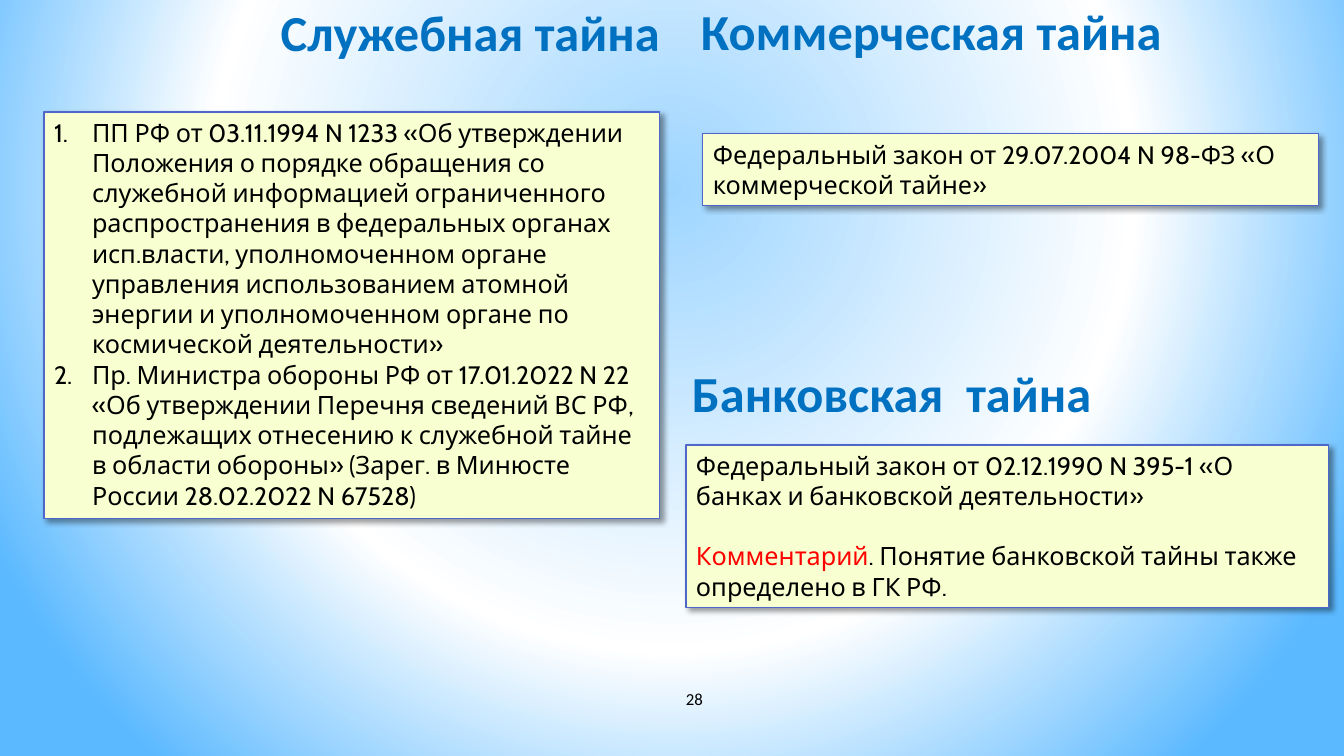
import pptx
import pptx.dml.color
import pptx.enum.shapes
import pptx.enum.text
import pptx.oxml
import pptx.oxml.ns
import pptx.util

PX = 914400 / 100.8
COLORS = {"heading": "0070C0", "card": "F8FFD1", "border": "4E67C8",
          "text": "000000", "accent": "FF0000"}
NAMESPACE = pptx.oxml.ns.nsdecls("a")
ALIGN = pptx.enum.text.PP_ALIGN
ANCHOR = pptx.enum.text.MSO_ANCHOR


def place(shape, bounds, margins, anchor=ANCHOR.TOP):
    shape.left, shape.top, shape.width, shape.height = [round(n * PX) for n in bounds]
    frame = shape.text_frame
    frame.word_wrap = True
    frame.auto_size = pptx.enum.text.MSO_AUTO_SIZE.NONE
    frame.vertical_anchor = anchor
    frame.margin_left, frame.margin_top, frame.margin_right, frame.margin_bottom = [
        round(n * PX) for n in margins]


def style(span, size, face, color, bold=False):
    span.font.size = pptx.util.Pt(size)
    span.font.name = face
    span.font.bold = bold
    span.font.color.rgb = pptx.dml.color.RGBColor.from_string(COLORS[color])


deck = pptx.Presentation()
deck.slide_width = round(1344 * PX)
deck.slide_height = round(756 * PX)
page = deck.slides.add_slide(deck.slide_layouts[1])
title, laws = page.placeholders

# Background: light glow fading to blue
page.background.fill.gradient()
gradient = page.background._cSld.bg.bgPr.find(pptx.oxml.ns.qn("a:gradFill"))
stops = "".join(f'<a:gs pos="{percent * 1000}"><a:srgbClr val="{color}"/></a:gs>'
                for percent, color in [(0, "9ED5FF"), (60, "FFFFFF"), (100, "5BB9FF")])
gradient.getparent().replace(gradient, pptx.oxml.parse_xml(
    f'<a:gradFill {NAMESPACE} rotWithShape="1"><a:gsLst>{stops}</a:gsLst>'
    '<a:path path="circle"><a:fillToRect l="20000" t="10000" r="20000" b="60000"/>'
    '</a:path></a:gradFill>'))

# Headings
commercial, bank = [page.shapes.add_textbox(0, 0, 0, 0) for _ in range(2)]
headings = [
    (title, "Служебная тайна", (44, 0, 616, 62), ALIGN.RIGHT),
    (commercial, "Коммерческая тайна", (701, -1, 616, 62), ALIGN.LEFT),
    (bank, "Банковская  тайна", (692, 361, 616, 62), ALIGN.LEFT),
]
for box, wording, bounds, alignment in headings:
    place(box, bounds, (0, 1, 0, 0))
    box.text_frame.text = wording
    para = box.text_frame.paragraphs[0]
    para.alignment = alignment
    style(para.runs[0], 36, "Calibri", "heading", True)

# Cards with the legal acts
commercial_law, bank_law = [
    page.shapes.add_shape(pptx.enum.shapes.MSO_SHAPE.RECTANGLE, 0, 0, 0, 0)
    for _ in range(2)]
cards = [
    (laws, (44, 112, 616, 407), [
        "ПП РФ от 03.11.1994 N 1233 «Об утверждении Положения о порядке обращения "
        "со служебной информацией ограниченного распространения в федеральных органах "
        "исп.власти, уполномоченном органе управления использованием атомной энергии "
        "и уполномоченном органе по космической деятельности»",
        "Пр. Министра обороны РФ от 17.01.2022 N 22 «Об утверждении Перечня сведений "
        "ВС РФ, подлежащих отнесению к служебной тайне в области обороны» "
        "(Зарег. в Минюсте России 28.02.2022 N 67528)"]),
    (commercial_law, (703, 134, 616, 72), [
        "Федеральный закон от 29.07.2004 N 98-ФЗ «О коммерческой тайне»"]),
    (bank_law, (686, 445, 643, 163), [
        "Федеральный закон от 02.12.1990 N 395-1 «О банках и банковской деятельности»",
        "Комментарий"]),
]
for card, bounds, wordings in cards:
    place(card, bounds, (10, 5, 10, 5))
    card.fill.solid()
    card.fill.fore_color.rgb = pptx.dml.color.RGBColor.from_string(COLORS["card"])
    card.line.color.rgb = pptx.dml.color.RGBColor.from_string(COLORS["border"])
    card.line.width = pptx.util.Pt(0.75)
    effects = card._element.spPr.get_or_add_effectLst() if hasattr(
        card._element.spPr, "get_or_add_effectLst") else None
    if effects is None:
        effects = pptx.oxml.parse_xml(f"<a:effectLst {NAMESPACE}/>")
        card._element.spPr.append(effects)
    effects.append(pptx.oxml.parse_xml(
        f'<a:outerShdw {NAMESPACE} blurRad="50800" dist="38100" dir="2700000" '
        'algn="tl" rotWithShape="0"><a:srgbClr val="000000"><a:alpha val="40000"/>'
        '</a:srgbClr></a:outerShdw>'))
    card.text_frame.text = "\n".join(wordings)
    for para in card.text_frame.paragraphs:
        para.alignment = ALIGN.LEFT
        para.space_before = pptx.util.Pt(0)
        style(para.runs[0], 18, "Cabin", "text")

# Numbering of the list
for para in laws.text_frame.paragraphs:
    properties = para._p.get_or_add_pPr()
    properties.set("marL", str(round(38 * PX)))
    properties.set("indent", str(round(-38 * PX)))
    for bullet in ('buFont {} typeface="+mj-lt"', 'buAutoNum {} type="arabicPeriod"'):
        properties.append(pptx.oxml.parse_xml(f"<a:{bullet.format(NAMESPACE)}/>"))

# Comment under the bank law, one line apart
comment = bank_law.text_frame.paragraphs[1]
comment.space_before = pptx.util.Pt(21.6)
style(comment.runs[0], 18, "Cabin", "accent")
span = comment.add_run()
span.text = ". Понятие банковской тайны также определено в ГК РФ."
style(span, 18, "Cabin", "text")

# Page number
number = page.shapes.add_textbox(0, 0, 0, 0)
place(number, (560, 680, 269, 40), (0, 0, 0, 0), ANCHOR.MIDDLE)
number.text_frame.text = "28"
para = number.text_frame.paragraphs[0]
para.alignment = ALIGN.CENTER
para.line_spacing = pptx.util.Pt(12.4)
style(para.runs[0], 12, "Calibri", "text")

deck.save("out.pptx")
